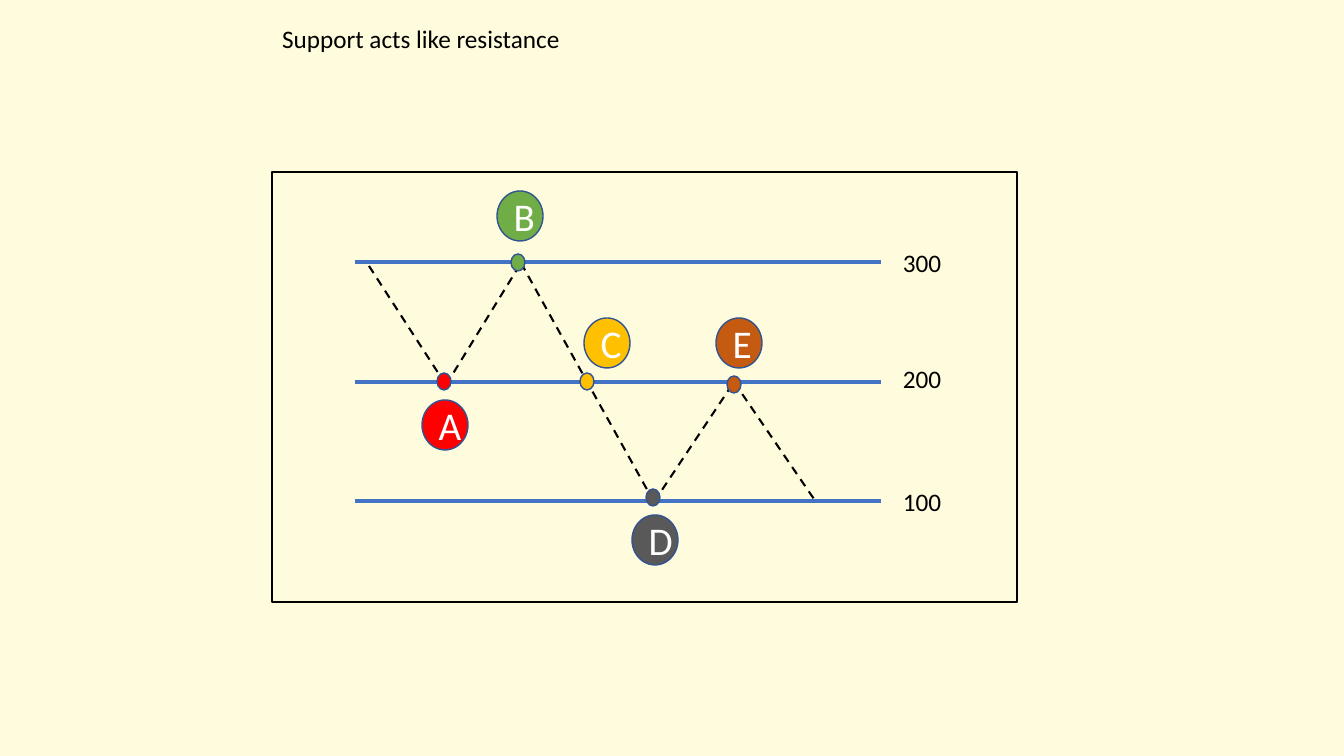
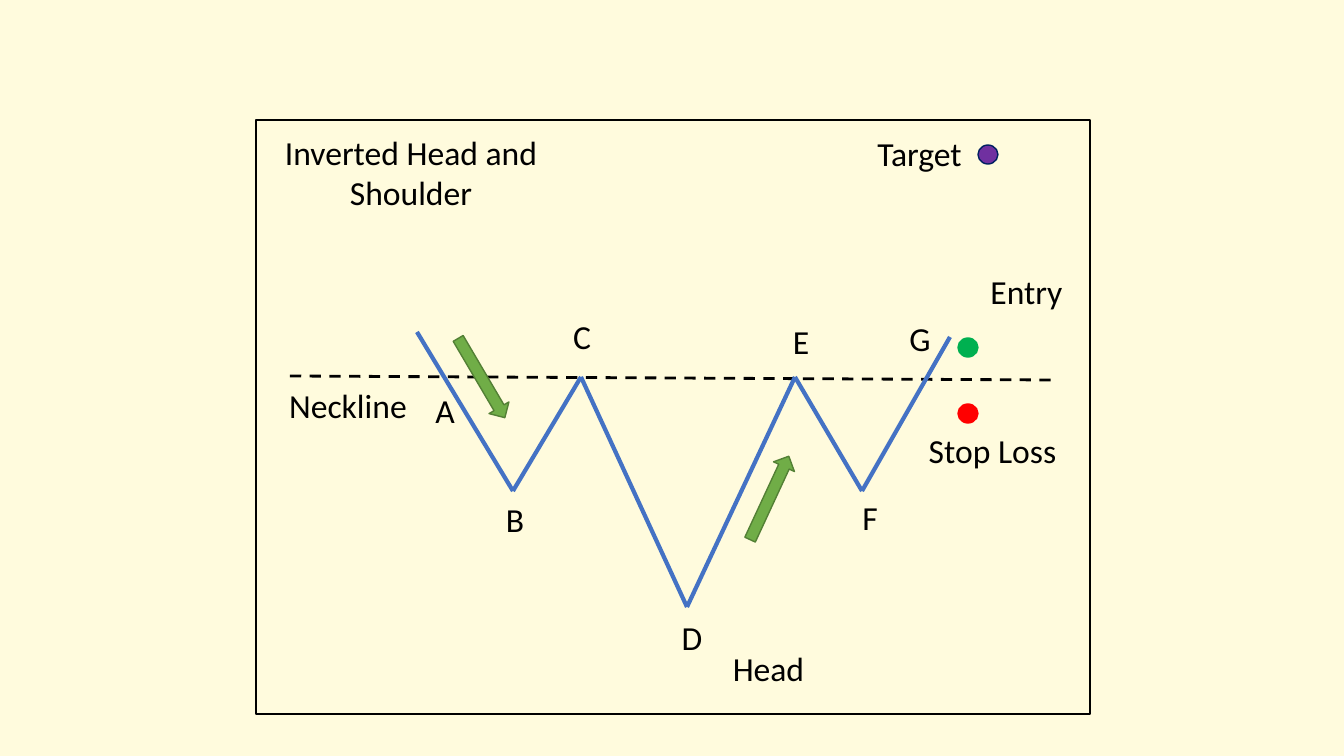
"""Builds two chart-pattern slides: support as resistance, and the inverted head and shoulder."""
from itertools import pairwise

from lxml import etree
from pptx import Presentation
from pptx import util as u
from pptx.dml import color
from pptx.enum import dml, shapes, text
from pptx.oxml import ns

PX = 12192000 / 1344
COLORS = {
    "cream": "FFFBDD", "black": "000000", "white": "FFFFFF", "blue": "4472C4",
    "edge": "325491", "red": "FF0000", "leaf": "70AD47", "leaf_edge": "538035",
    "amber": "FFC000", "gray": "595959", "rust": "C55A11", "green": "00B050",
    "purple": "7030A0", "navy": "002060",
}
RGB = {name: color.RGBColor.from_string(value) for name, value in COLORS.items()}
ALIGN = text.PP_ALIGN
OVAL = shapes.MSO_SHAPE.OVAL
ARROW = shapes.MSO_SHAPE.UP_ARROW
FRAME_FORMAT = {
    "word_wrap": True,
    "auto_size": text.MSO_AUTO_SIZE.NONE,
    "vertical_anchor": text.MSO_ANCHOR.TOP,
}


def set_text(box, words, size, ink, align, anchor=text.MSO_ANCHOR.TOP):
    frame = box.text_frame
    for name, value in {**FRAME_FORMAT, "vertical_anchor": anchor}.items():
        setattr(frame, name, value)
    para = frame.paragraphs[0]
    para.alignment = align
    span = para.add_run()
    span.text = words
    for name, value in {"name": "Calibri", "size": u.Pt(size), "bold": False}.items():
        setattr(span.font, name, value)
    span.font.color.rgb = RGB[ink]


def set_line(line, ink, width, dash=None):
    line.color.rgb = RGB[ink]
    line.width = u.Pt(width)
    if dash:
        line.dash_style = dash


DASH = dml.MSO_LINE.DASH

levels = [
    ("A", "red", (422, 400), (437, 373)),
    ("B", "leaf", (497, 191), (511, 254)),
    ("C", "amber", (584, 318), (580, 373)),
    ("D", "gray", (632, 515), (646, 489)),
    ("E", "rust", (716, 318), (727, 376)),
]
turns = [
    ("A", 413, 385), ("B", 483, 494), ("C", 550, 311), ("D", 660, 612),
    ("E", 769, 316), ("F", 838, 492), ("G", 888, 313),
]
slides = [
    {
        "title": ("Support acts like resistance", (272, 18, 349, 40)),
        "size": 18,
        "align": ALIGN.LEFT,
        "frame": ((272, 172, 745, 430), 1.5),
        "paths": [
            *[([(355, y), (881, y)], "blue", 3, None) for y in (262, 382, 501)],
            ([(369, 266), (446, 385), (521, 263), (654, 502), (734, 382), (814, 499)],
             "black", 1.5, DASH),
        ],
        "marks": [
            *[(OVAL, (*ball, 46, 50), 0, fill, "edge", letter)
              for letter, fill, ball, dot in levels],
            *[(OVAL, (*dot, 14, 17), 0, fill, "edge", "")
              for letter, fill, ball, dot in levels],
        ],
        "labels": [
            (price, (893, y, 114, 40))
            for price, y in (("300", 242), ("200", 358), ("100", 481))
        ],
    },
    {
        "title": ("Inverted Head and Shoulder", (241, 127, 340, 92)),
        "size": 24,
        "align": ALIGN.CENTER,
        "frame": ((256, 120, 834, 594), 2),
        "paths": [
            ([(290, 376), (1053, 380)], "black", 2, DASH),
            ([(417, 332), (513, 491), (581, 377), (687, 607), (795, 377), (862, 491), (950, 337)],
             "blue", 3, None),
        ],
        "marks": [
            (ARROW, (470, 332, 23, 92), 149.5, "leaf", "leaf_edge", ""),
            (ARROW, (758, 452, 23, 92), 24.9, "leaf", "leaf_edge", ""),
            (OVAL, (958, 404, 20, 19), 0, "red", "red", ""),
            (OVAL, (958, 338, 20, 19), 0, "green", "green", ""),
            (OVAL, (978, 145, 20, 19), 0, "purple", "navy", ""),
        ],
        "labels": [
            *[(letter, (x, y, 64, 50)) for letter, x, y in turns],
            ("Target", (842, 128, 155, 50)),
            ("Neckline", (274, 380, 148, 50)),
            ("Head", (691, 643, 155, 50)),
            ("Stop Loss", (915, 425, 155, 50)),
            ("Entry", (949, 266, 155, 50)),
        ],
    },
]

deck = Presentation()
deck.slide_width, deck.slide_height = round(1344 * PX), round(756 * PX)
backdrop = deck.slide_master.background.fill
backdrop.solid()
backdrop.fore_color.rgb = RGB["cream"]

for content in slides:
    page = deck.slides.add_slide(deck.slide_layouts[5])
    size, align = content["size"], content["align"]

    words, area = content["title"]
    title = page.shapes.title
    for name, value in zip(("left", "top", "width", "height"), area):
        setattr(title, name, round(value * PX))
    set_text(title, words, size, "black", align)

    area, width = content["frame"]
    border = page.shapes.add_shape(
        shapes.MSO_SHAPE.RECTANGLE, *[round(value * PX) for value in area])
    border.shadow.inherit = False
    border.fill.background()
    set_line(border.line, "black", width)

    for points, ink, width, dash in content["paths"]:
        for start, end in pairwise(points):
            segment = page.shapes.add_connector(
                shapes.MSO_CONNECTOR.STRAIGHT, *[round(value * PX) for value in start + end])
            set_line(segment.line, ink, width, dash)
            etree.SubElement(segment._element.spPr, ns.qn("a:effectLst"))

    for kind, area, turn, fill, edge, letter in content["marks"]:
        mark = page.shapes.add_shape(kind, *[round(value * PX) for value in area])
        mark.shadow.inherit = False
        mark.rotation = turn
        mark.fill.solid()
        mark.fill.fore_color.rgb = RGB[fill]
        set_line(mark.line, edge, 1)
        if letter:
            set_text(mark, letter, 28, "white", ALIGN.CENTER, text.MSO_ANCHOR.MIDDLE)

    for words, area in content["labels"]:
        box = page.shapes.add_textbox(*[round(value * PX) for value in area])
        set_text(box, words, size, "black", align)

deck.save("out.pptx")
